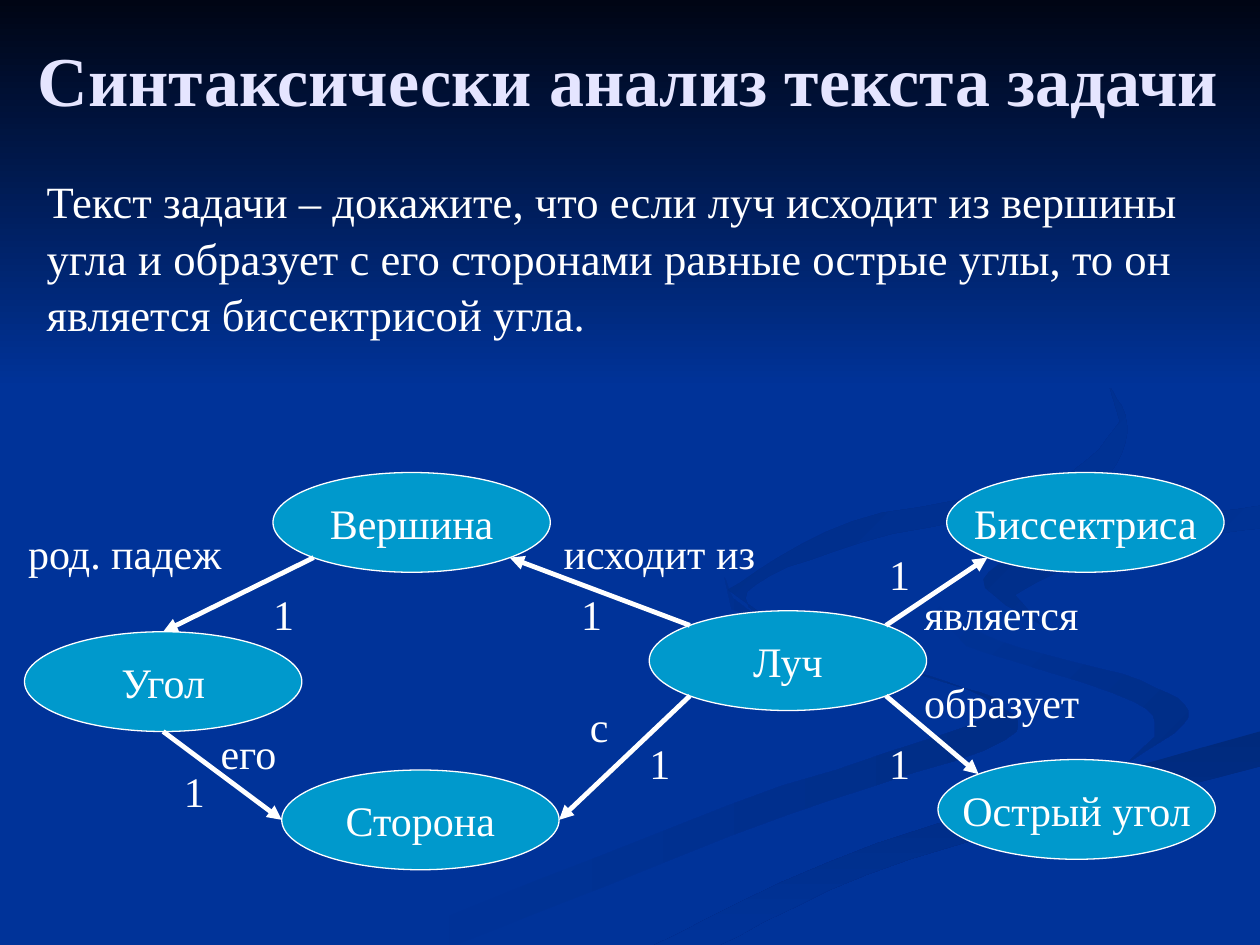
from lxml import etree
from pptx import Presentation
from pptx.dml.color import RGBColor
from pptx.enum import shapes, text
from pptx.oxml.ns import qn
from pptx.util import Pt

FONT = "Times New Roman"
BLUE = RGBColor(0x00, 0x33, 0x99)
NIGHT = RGBColor(0x00, 0x05, 0x14)
SHADE = RGBColor(0x00, 0x2D, 0x86)
DEEP = RGBColor(0x00, 0x2A, 0x7D)
NODE = RGBColor(0x00, 0x99, 0xCC)
LILAC = RGBColor(0xE5, 0xE5, 0xFF)
WHITE = RGBColor(0xFF, 0xFF, 0xFF)

SLIDE_W, SLIDE_H = 720, 540
NODE_W, NODE_H = 158.5, 57

# Each swirl: start colour, end colour, clockwise angle, its two edges
SWIRLS = [
    (BLUE, SHADE, 0,
     [(414, 330), (428, 349), (491, 374), (562, 398), (574, 423), (449, 466),
      (260, 540)],
     [(216, 540), (417, 460), (566, 408), (524, 385), (418, 348)]),
    (BLUE, SHADE, 45,
     [(521, 334), (570, 366), (652, 389), (679, 410), (644, 436)],
     [(660, 421), (648, 401), (552, 369)]),
    (DEEP, BLUE, 90,
     [(374, 540), (501, 482), (720, 418)],
     [(720, 438), (520, 491), (411, 540)]),
    (SHADE, BLUE, 45,
     [(720, 289), (611, 307), (562, 331), (595, 357)],
     [(580, 340), (632, 316), (720, 302)]),
    (SHADE, BLUE, 45,
     [(448, 360), (427, 338), (492, 310), (616, 282), (644, 248), (634, 221)],
     [(640, 241), (601, 275), (487, 298), (416, 337)]),
]

# Left and top of each concept, relative to the graph
NODES = {
    "Угол": (14, 91),
    "Сторона": (161, 170),
    "Луч": (371, 79),
    "Биссектриса": (541, 0),
    "Острый угол": (536, 164),
    "Вершина": (156, 0),
}

EDGES = [
    ("Угол", "bottom", "Сторона", "left"),
    ("Вершина", "bottom left", "Угол", "top"),
    ("Луч", "bottom left", "Сторона", "right"),
    ("Луч", "top left", "Вершина", "bottom right"),
    ("Луч", "top right", "Биссектриса", "bottom left"),
    ("Луч", "bottom right", "Острый угол", "top left"),
]

# Each relation: left and top of its name, then of its number
LABELS = [
    ("род. падеж", (9, 28), (149, 63)),
    ("исходит из", (315, 28), (325, 63)),
    ("его", (119, 142), (98, 164)),
    ("с", (330, 127), (364, 148)),
    ("образует", (521, 113), (501, 148)),
    ("является", (521, 63), (501, 40)),
]


def smooth(points, steps=6):
    """Return a Catmull-Rom curve through the points."""
    padded = [points[0], *points, points[-1]]
    curve = []
    for a, b, c, d in zip(padded, padded[1:], padded[2:], padded[3:]):
        for i in range(steps):
            t = i / steps
            curve.append(tuple(
                q + t / 2 * (r - p + t * (2 * p - 5 * q + 4 * r - s
                                          + t * (3 * q - p - 3 * r + s)))
                for p, q, r, s in zip(a, b, c, d)))
    return curve + [points[-1]]


def write(tf, words, size, color=WHITE, bold=False, align=None):
    p = tf.paragraphs[0]
    p.alignment = align
    r = p.add_run()
    r.text = words
    r.font.name, r.font.size, r.font.bold = FONT, Pt(size), bold
    r.font.color.rgb = color
    return p


def shade(sp, start, end, angle):
    """Fill a shape with a two-colour gradient; the angle runs clockwise."""
    sp.shadow.inherit = False
    sp.line.fill.background()
    sp.fill.gradient()
    sp.fill.gradient_angle = -angle % 360
    for stop, color in zip(sp.fill.gradient_stops, (start, end)):
        stop.color.rgb = color


def add_backdrop(slide):
    fill = slide.background.fill
    fill.solid()
    fill.fore_color.rgb = BLUE
    for start, end, angle, outer, inner in SWIRLS:
        points = smooth(outer) + smooth(inner)
        builder = slide.shapes.build_freeform(*points[0], scale=Pt(1))
        builder.add_line_segments(points[1:], close=True)
        shade(builder.convert_to_shape(), start, end, angle)
    sky = slide.shapes.add_shape(shapes.MSO_SHAPE.RECTANGLE, 0, 0,
                                 Pt(SLIDE_W), Pt(222))
    shade(sky, NIGHT, BLUE, 90)


def add_title(slide, x, y, w, h):
    sp = slide.shapes.title
    sp.left, sp.top, sp.width, sp.height = Pt(x), Pt(y), Pt(w), Pt(h)
    tf = sp.text_frame
    tf.margin_left = tf.margin_right = 0
    tf.vertical_anchor = text.MSO_ANCHOR.MIDDLE
    write(tf, "Синтаксически анализ текста задачи", 40, LILAC, True,
          text.PP_ALIGN.CENTER)
    slide.shapes._spTree.append(sp._element)  # above the backdrop


def add_text(slide, words, x, y, w, h, size):
    tf = slide.shapes.add_textbox(Pt(x), Pt(y), Pt(w), Pt(h)).text_frame
    tf.word_wrap = True
    return write(tf, words, size)


def add_label(slide, words, x, y):
    add_text(slide, words, x, y, 14.4 + 13 * len(words), 36, 24)


def add_node(slide, words, x, y):
    sp = slide.shapes.add_shape(shapes.MSO_SHAPE.OVAL, Pt(x), Pt(y),
                                Pt(NODE_W), Pt(NODE_H))
    sp.shadow.inherit = False
    sp.fill.solid()
    sp.fill.fore_color.rgb = NODE
    sp.line.color.rgb, sp.line.width = WHITE, Pt(0.75)
    tf = sp.text_frame
    tf.word_wrap = False
    tf.vertical_anchor = text.MSO_ANCHOR.MIDDLE
    write(tf, words, 24, align=text.PP_ALIGN.CENTER)


def add_arrow(slide, start, end):
    line = slide.shapes.add_connector(shapes.MSO_CONNECTOR.STRAIGHT,
                                      *map(Pt, start + end))
    line.line.color.rgb, line.line.width = WHITE, Pt(2.75)
    ln = line.line._get_or_add_ln()
    etree.SubElement(ln, qn("a:tailEnd"), type="triangle")
    etree.SubElement(line._element.spPr, qn("a:effectLst"))


def node_site(name, side):
    """Return the point on a node's rim that lies at the named side."""
    left, top = NODES[name]
    dx = ("right" in side) - ("left" in side)
    dy = ("bottom" in side) - ("top" in side)
    reach = (dx * dx + dy * dy) ** 0.5
    return (left + NODE_W / 2 * (1 + dx / reach),
            top + NODE_H / 2 * (1 + dy / reach))


def add_graph(slide, x, y):
    def place(point):
        return x + point[0], y + point[1]

    for name, corner in NODES.items():
        add_node(slide, name, *place(corner))
    for source, source_side, target, target_side in EDGES:
        add_arrow(slide, place(node_site(source, source_side)),
                  place(node_site(target, target_side)))
    for words, corner, number_corner in LABELS:
        add_label(slide, words, *place(corner))
        add_label(slide, "1", *place(number_corner))


def main():
    prs = Presentation()
    prs.slide_width, prs.slide_height = Pt(SLIDE_W), Pt(SLIDE_H)
    slide = prs.slides.add_slide(prs.slide_layouts[5])
    add_backdrop(slide)
    add_title(slide, 11.5, 0, 695, 90)
    p = add_text(slide, "Текст задачи – докажите, что если луч исходит из "
                 "вершины угла и образует с его сторонами равные острые углы, "
                 "то он является биссектрисой угла.",
                 19.5, 94.5, 680, 127, 25.5)
    p.line_spacing = 1.05
    add_graph(slide, 0, 270)
    prs.save("out.pptx")


if __name__ == "__main__":
    main()
